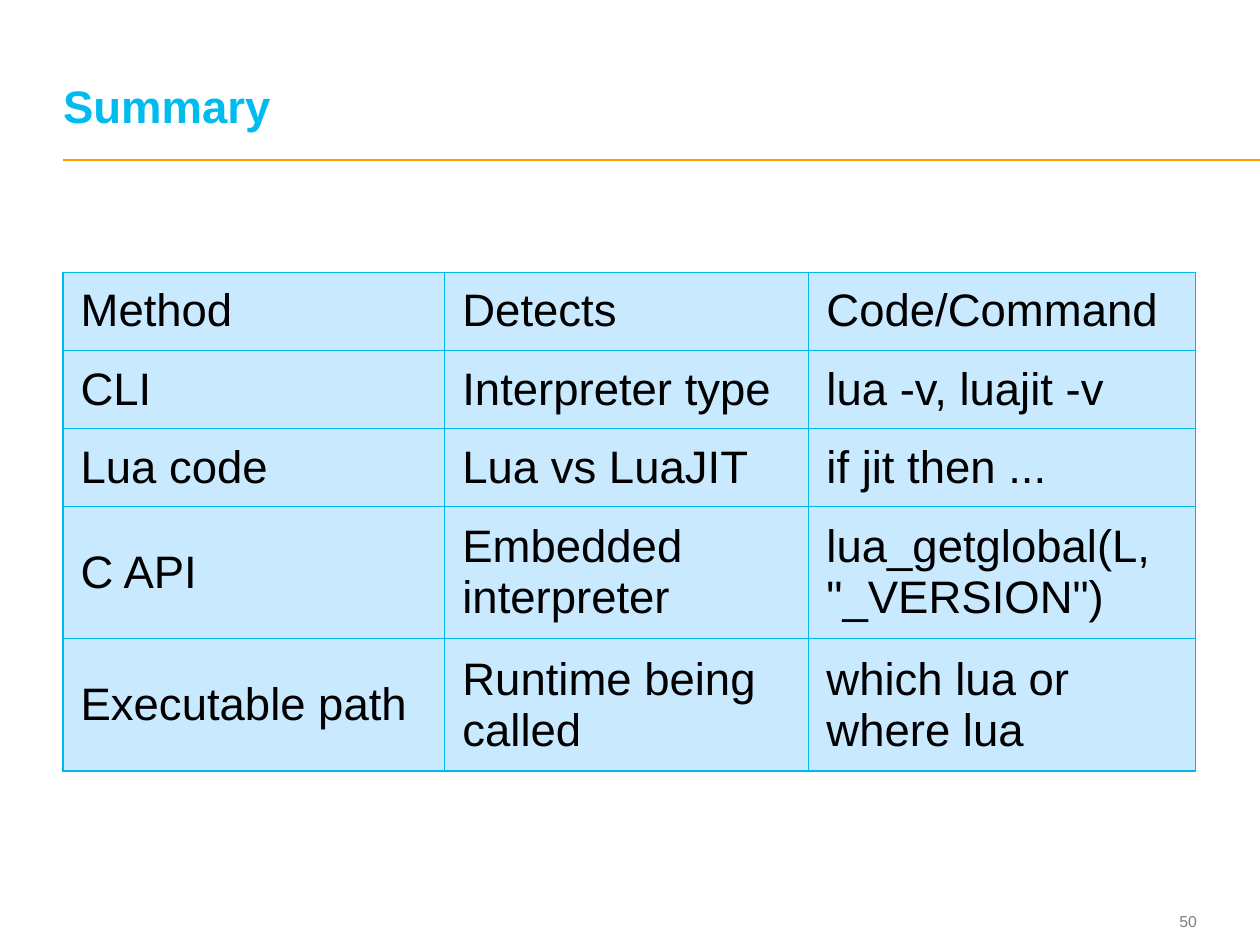
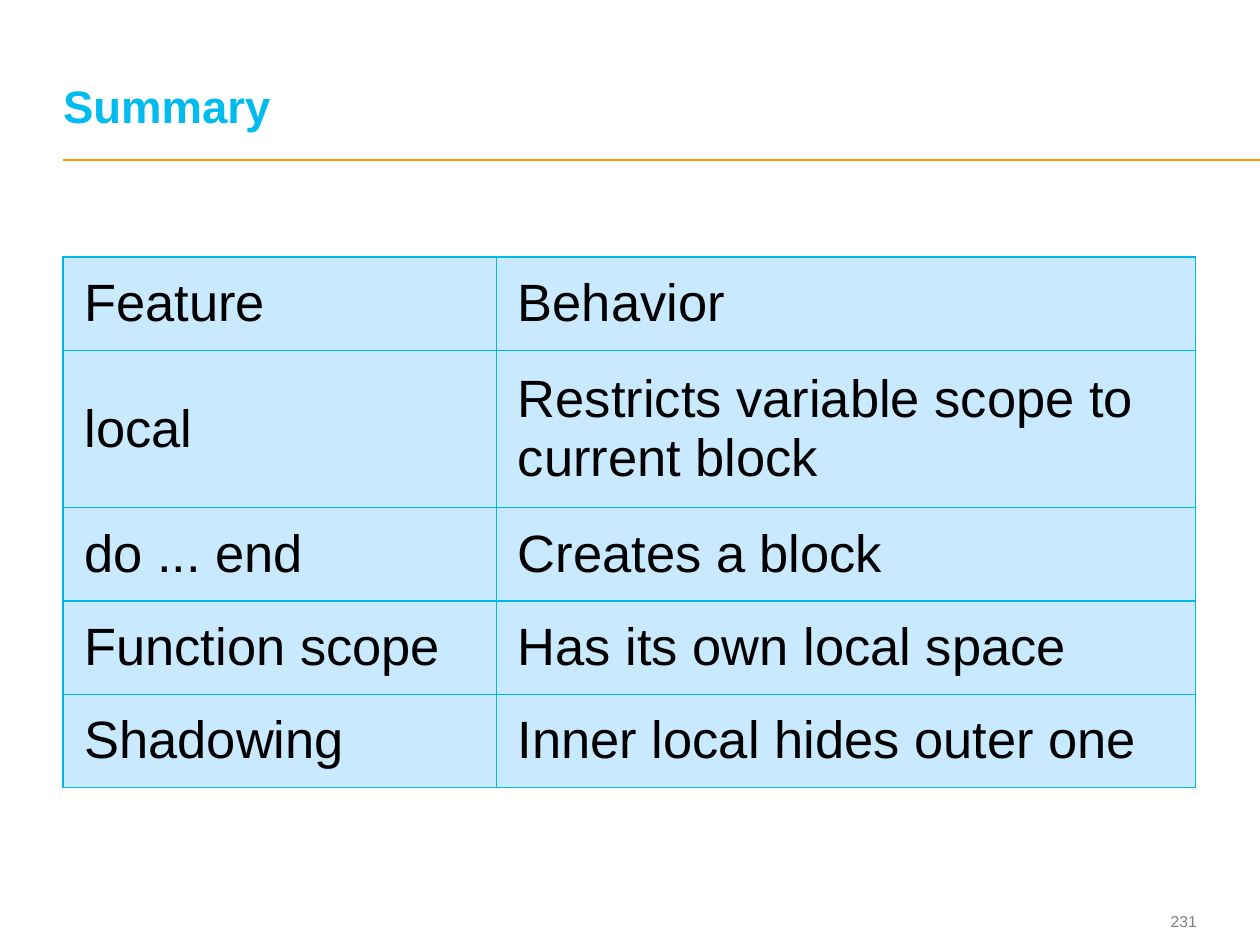
from lxml import etree
from pptx import Presentation
from pptx.dml.color import RGBColor
from pptx.enum import shapes, text
from pptx.oxml import ns
from pptx.util import Inches, Pt

FONT = "Arial"
COLORS = {
    "title": "00BBEE",
    "rule": "FF9900",
    "number": "7F7F7F",
    "text": "000000",
    "cell": "C9E9FF",
    "border": "00B7E9",
}
LEFT = 0.5

SLIDES = [
    {
        "title": "Summary",
        "number": "50",
        "top": 2.16,
        "size": 26,
        "margins": (0.14, 0.07),
        "cols": (3.03, 2.89, 3.07),
        "row_heights": {1: 0.62, 2: 1.05},
        "row_lines": (1, 1, 1, 2, 2),
        "rows": [
            ("Method", "Detects", "Code/Command"),
            ("CLI", "Interpreter type", "lua -v, luajit -v"),
            ("Lua code", "Lua vs LuaJIT", "if jit then ..."),
            ("C API", "Embedded interpreter", 'lua_getglobal(L, "_VERSION")'),
            ("Executable path", "Runtime being called", "which lua or where lua"),
        ],
    },
    {
        "title": "Summary",
        "number": "231",
        "top": 2.04,
        "size": 30,
        "margins": (0.17, 0.08),
        "cols": (3.44, 5.55),
        "row_heights": {1: 0.74, 2: 1.25},
        "row_lines": (1, 2, 1, 1, 1),
        "rows": [
            ("Feature", "Behavior"),
            ("local", "Restricts variable scope to current block"),
            ("do ... end", "Creates a block"),
            ("Function scope", "Has its own local space"),
            ("Shadowing", "Inner local hides outer one"),
        ],
    },
]


def rgb(name):
    return RGBColor.from_string(COLORS[name])


def style(p, size, color, bold=False):
    for r in p.runs:
        r.font.name = FONT
        r.font.size = Pt(size)
        r.font.bold = bold
        r.font.color.rgb = rgb(color)


def place(sp, left, top, width, height):
    sp.left, sp.top = Inches(left), Inches(top)
    sp.width, sp.height = Inches(width), Inches(height)


def fill_frame(sp, words, anchor, align, size, color, bold=False):
    tf = sp.text_frame
    tf.text = words
    tf.word_wrap = True
    tf.auto_size = text.MSO_AUTO_SIZE.NONE
    tf.vertical_anchor = anchor
    tf.margin_left = tf.margin_right = tf.margin_top = tf.margin_bottom = 0
    p = tf.paragraphs[0]
    p.alignment = align
    style(p, size, color, bold)
    return p


def add_frame(s, title, number):
    place(s.shapes.title, LEFT, 0.19, 8.97, 0.86)
    p = fill_frame(s.shapes.title, title, text.MSO_ANCHOR.BOTTOM,
                   text.PP_ALIGN.LEFT, 26, "title", True)
    p.line_spacing = Pt(26)

    rule = s.shapes.add_connector(shapes.MSO_CONNECTOR.STRAIGHT, Inches(LEFT),
                                  Inches(1.27), Inches(10), Inches(1.27))
    rule.line.color.rgb = rgb("rule")
    rule.line.width = Pt(1)
    etree.SubElement(rule._element.spPr, ns.qn("a:effectLst"))

    box = s.shapes.add_textbox(0, 0, 0, 0)
    place(box, 8.91, 7.18, 0.59, 0.27)
    fill_frame(box, number, text.MSO_ANCHOR.MIDDLE, text.PP_ALIGN.RIGHT, 9, "number")


def add_borders(cell):
    tcPr = cell._tc.get_or_add_tcPr()
    for side in ("lnL", "lnR", "lnT", "lnB"):
        ln = etree.SubElement(tcPr, ns.qn(f"a:{side}"), w=str(Pt(0.75)))
        solid = etree.SubElement(ln, ns.qn("a:solidFill"))
        etree.SubElement(solid, ns.qn("a:srgbClr"), val=COLORS["border"])


def add_summary_table(s, data):
    rows, cols = data["rows"], data["cols"]
    heights = [data["row_heights"][n] for n in data["row_lines"]]
    table = s.shapes.add_table(len(rows), len(cols), Inches(LEFT), Inches(data["top"]),
                               Inches(sum(cols)), Inches(sum(heights))).table
    table.first_row = table.horz_banding = False
    for column, width in zip(table.columns, cols):
        column.width = Inches(width)
    side, end = (Inches(m) for m in data["margins"])
    for row, height, words in zip(table.rows, heights, rows):
        row.height = Inches(height)
        for cell, word in zip(row.cells, words):
            cell.text_frame.text = word
            cell.margin_left = cell.margin_right = side
            cell.margin_top = cell.margin_bottom = end
            cell.vertical_anchor = text.MSO_ANCHOR.MIDDLE
            add_borders(cell)
            cell.fill.solid()
            cell.fill.fore_color.rgb = rgb("cell")
            style(cell.text_frame.paragraphs[0], data["size"], "text")


def main():
    prs = Presentation()
    prs.slide_width, prs.slide_height = Inches(10), Inches(7.5)
    for data in SLIDES:
        s = prs.slides.add_slide(prs.slide_layouts[5])
        add_frame(s, data["title"], data["number"])
        add_summary_table(s, data)
    prs.save("out.pptx")


if __name__ == "__main__":
    main()
